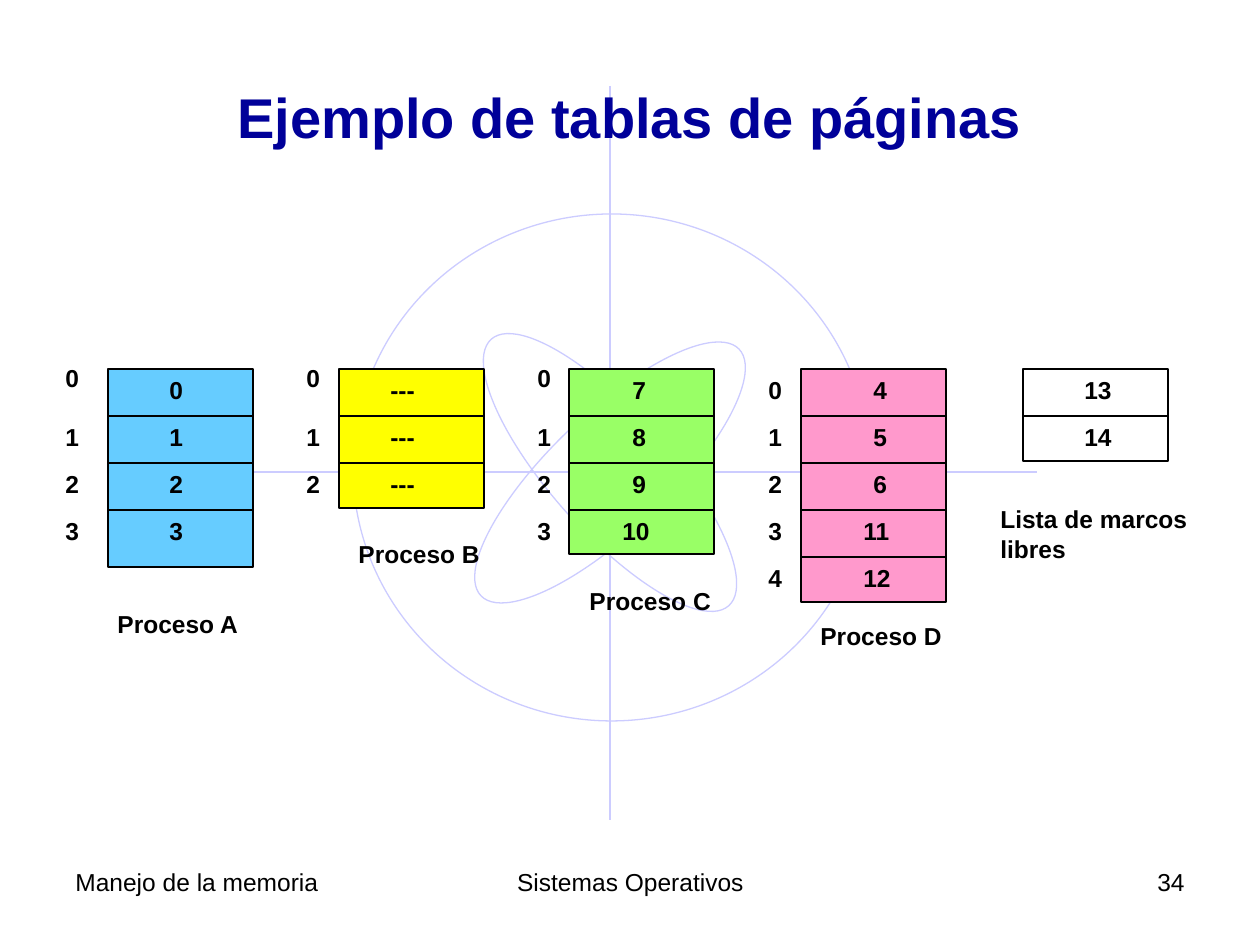
from dataclasses import dataclass

from lxml import etree
from pptx import Presentation
from pptx import util as u
from pptx.dml.color import RGBColor
from pptx.enum import shapes, text
from pptx.oxml import ns

PX = 914400 / 126
ROW_TOP, ROW_HEIGHT, TABLE_WIDTH = 369, 47, 145
LABEL_HEIGHT = 42
CHARACTER_WIDTHS = {"---": 51, 1: 39, 2: 53}


@dataclass(frozen=True)
class Theme:
    font: str = "Arial"
    title: str = "000099"
    ink: str = "000000"
    motif: str = "CCCCFF"
    process_a: str = "66CCFF"
    process_b: str = "FFFF00"
    process_c: str = "99FF66"
    process_d: str = "FF99CC"
    title_size: int = 32
    text_size: int = 14
    rule: float = 1
    motif_rule: float = 0.75


THEME = Theme()


def px(*lengths):
    return [u.Emu(round(length * PX)) for length in lengths]


def style_text(frame, size, color, bold, align):
    for para in frame.paragraphs:
        para.alignment = align
        for span in para.runs:
            span.font.name = THEME.font
            span.font.size = u.Pt(size)
            span.font.bold = bold
            span.font.color.rgb = RGBColor.from_string(color)


def style_line(line, color, width):
    line.color.rgb = RGBColor.from_string(color)
    line.width = u.Pt(width)


def add_text(slide, words, at, bold=True, wrap=False, align=text.PP_ALIGN.LEFT):
    box = slide.shapes.add_textbox(*px(*at))
    frame = box.text_frame
    frame.text = words
    frame.word_wrap = wrap
    if not wrap:
        frame.auto_size = text.MSO_AUTO_SIZE.SHAPE_TO_FIT_TEXT
    style_text(frame, THEME.text_size, THEME.ink, bold, align)


def add_line(canvas, start, end, color, width):
    line = canvas.add_connector(shapes.MSO_CONNECTOR.STRAIGHT, *px(*start, *end))
    style_line(line.line, color, width)
    etree.SubElement(line.element.spPr, ns.qn("a:effectLst"))


def add_outline(canvas, kind, at, fill, color, width):
    shape = canvas.add_shape(kind, *px(*at))
    shape.shadow.inherit = False
    if fill:
        shape.fill.solid()
        shape.fill.fore_color.rgb = RGBColor.from_string(fill)
    else:
        shape.fill.background()
    style_line(shape.line, color, width)
    return shape


def add_motif(slide):
    motif = slide.shapes.add_group_shape().shapes
    for start, end in (((610, 86), (610, 820)), ((184, 472), (1037, 472))):
        add_line(motif, start, end, THEME.motif, THEME.motif_rule)
    for at, rotation in (
        ((353, 214, 517, 507), 0),
        ((551, 294, 118, 357), 46.3),
        ((551, 294, 118, 357), 318.3),
    ):
        oval = add_outline(motif, shapes.MSO_SHAPE.OVAL, at, None,
                           THEME.motif, THEME.motif_rule)
        oval.rotation = rotation


def add_title(slide, words):
    title = slide.shapes.title
    title.left, title.top, title.width, title.height = px(63, 38, 1134, 157)
    frame = title.text_frame
    frame.text = words
    frame.auto_size = text.MSO_AUTO_SIZE.NONE
    frame.vertical_anchor = text.MSO_ANCHOR.MIDDLE
    style_text(frame, THEME.title_size, THEME.title, True, text.PP_ALIGN.CENTER)
    title.element.getparent().append(title.element)


def add_page_table(slide, left, height, fill, values, value_left):
    add_outline(slide.shapes, shapes.MSO_SHAPE.RECTANGLE,
                (left, ROW_TOP, TABLE_WIDTH, height), fill, THEME.ink, THEME.rule)
    for row, value in enumerate(values):
        top = ROW_TOP + row * ROW_HEIGHT
        if row:
            add_line(slide.shapes, (left, top), (left + TABLE_WIDTH, top),
                     THEME.ink, THEME.rule)
        width = CHARACTER_WIDTHS.get(value) or CHARACTER_WIDTHS[len(value)]
        shift = 10 if len(value) == 2 else 0
        add_text(slide, value, (value_left - shift, top, width, LABEL_HEIGHT))


def add_page_numbers(slide, left, count, first_top):
    for row in range(count):
        top = ROW_TOP + row * ROW_HEIGHT if row else first_top
        add_text(slide, str(row), (left, top, CHARACTER_WIDTHS[1], LABEL_HEIGHT))


def add_footer(slide):
    for words, left, width, align in (
        ("Manejo de la memoria", 63, 294, text.PP_ALIGN.LEFT),
        ("Sistemas Operativos", 431, 399, text.PP_ALIGN.CENTER),
        ("34", 903, 294, text.PP_ALIGN.RIGHT),
    ):
        add_text(slide, words, (left, 861, width, 66), False, True, align)


def main():
    deck = Presentation()
    deck.slide_width, deck.slide_height = px(1260, 945)
    page = deck.slides.add_slide(deck.slide_layouts[5])
    add_motif(page)

    processes = (
        ("Proceso A", 108, 198, THEME.process_a, ("0", "1", "2", "3"),
         157, 53, 357, (105, 603)),
        ("Proceso B", 339, 139, THEME.process_b, ("---", "---", "---"),
         378, 294, 357, (346, 533)),
        ("Proceso C", 569, 185, THEME.process_c, ("7", "8", "9", "10"),
         620, 525, 357, (577, 580)),
        ("Proceso D", 801, 233, THEME.process_d, ("4", "5", "6", "11", "12"),
         861, 756, ROW_TOP, (808, 615)),
    )
    for name, left, height, fill, values, value_left, index_left, index_top, at in processes:
        add_page_table(page, left, height, fill, values, value_left)
        add_page_numbers(page, index_left, len(values), index_top)
        add_text(page, name, (*at, 148, LABEL_HEIGHT))

    add_page_table(page, 1023, 92, None, ("13", "14"), 1082)
    add_text(page, "Lista de marcos\nlibres", (988, 498, 214, 71))
    add_title(page, "Ejemplo de tablas de páginas")
    add_footer(page)
    deck.save("out.pptx")


if __name__ == "__main__":
    main()
